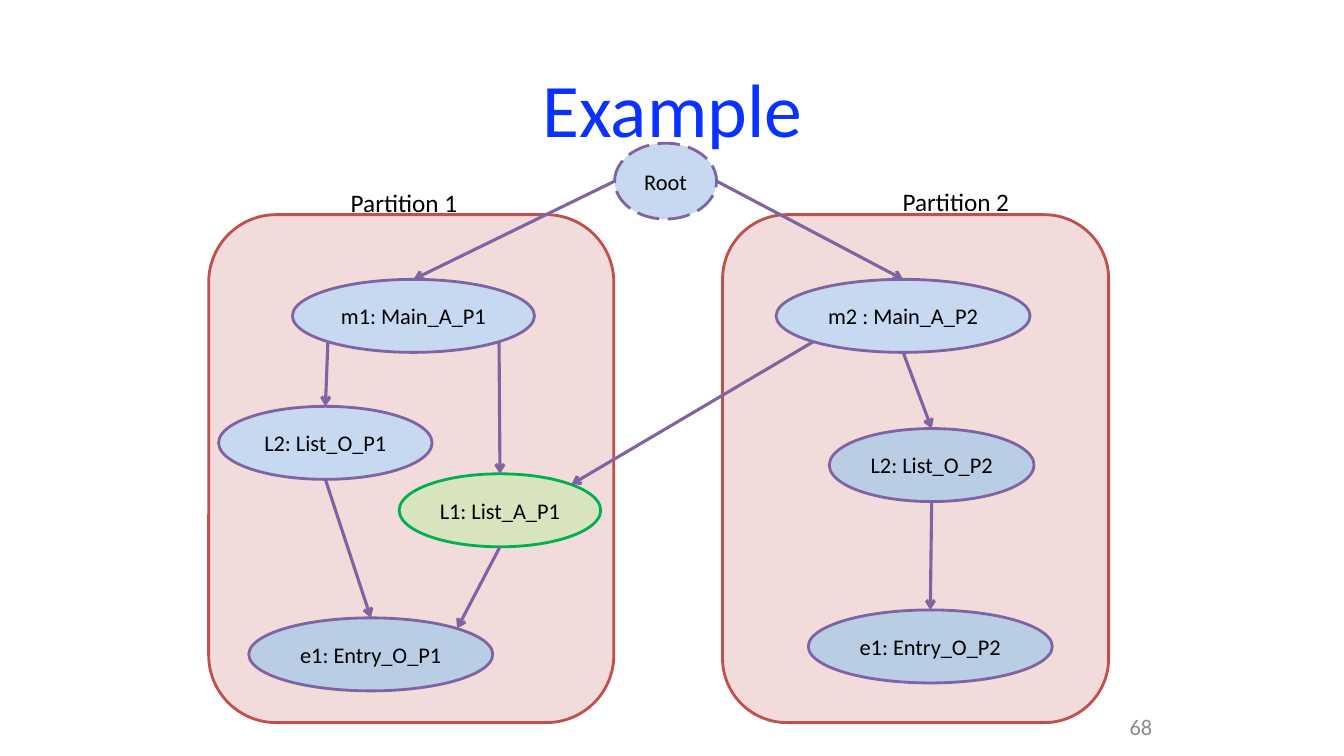
from dataclasses import dataclass
from math import sqrt

from lxml import etree
from pptx import Presentation
from pptx.dml.color import RGBColor
from pptx.enum.dml import MSO_LINE
from pptx.enum.shapes import MSO_CONNECTOR, MSO_SHAPE
from pptx.enum.text import MSO_ANCHOR, PP_ALIGN
from pptx.oxml.ns import qn
from pptx.util import Cm, Pt

OVAL, ROUND = MSO_SHAPE.OVAL, MSO_SHAPE.ROUNDED_RECTANGLE
STRAIGHT, DASH = MSO_CONNECTOR.STRAIGHT, MSO_LINE.LONG_DASH
LEFT, CENTER, RIGHT = PP_ALIGN.LEFT, PP_ALIGN.CENTER, PP_ALIGN.RIGHT
TOP, MIDDLE = MSO_ANCHOR.TOP, MSO_ANCHOR.MIDDLE

# Points on an oval, as shares of its half width and half height
DIAG = 1 / sqrt(2)
SITES = {
    "top": (0, -1), "bottom": (0, 1), "left": (-1, 0), "right": (1, 0),
    "low left": (-DIAG, DIAG), "low right": (DIAG, DIAG), "top right": (DIAG, -DIAG),
}


@dataclass(frozen=True)
class Theme:
    font: str = "Calibri"
    ink: str = "000000"
    title: str = "0A32FF"
    gray: str = "8C8C8C"
    rose: str = "F2DCDB"
    red: str = "C0504D"
    pale: str = "C6D9F1"
    blue: str = "B9CDE5"
    lime: str = "D7E4BD"
    green: str = "00B050"
    violet: str = "8064A2"
    head_size: int = 54
    label_size: int = 18
    node_size: int = 16
    edge: float = 2
    arrow: float = 2.25


class Board:
    def __init__(self, slide, theme):
        self.shapes = slide.shapes
        self.theme = theme

    def label(self, frame, text, size, color, align, anchor):
        frame.text = text
        frame.vertical_anchor = anchor
        para = frame.paragraphs[0]
        para.alignment = align
        font = para.runs[0].font
        font.name, font.size = self.theme.font, Pt(size)
        font.color.rgb = RGBColor.from_string(color)
        return para

    def text(self, box, text, size, color, align=LEFT, anchor=TOP, wrap=True):
        frame = self.shapes.add_textbox(*map(Cm, box)).text_frame
        frame.word_wrap = wrap
        return self.label(frame, text, size, color, align, anchor)

    def shape(self, kind, box, fill, edge):
        shape = self.shapes.add_shape(kind, *map(Cm, box))
        shape.shadow.inherit = False
        shape.fill.solid()
        shape.fill.fore_color.rgb = RGBColor.from_string(fill)
        shape.line.color.rgb = RGBColor.from_string(edge)
        shape.line.width = Pt(self.theme.edge)
        return shape

    def node(self, text, box, fill, edge):
        oval = self.shape(OVAL, box, fill, edge)
        self.label(oval.text_frame, text, self.theme.node_size,
                   self.theme.ink, CENTER, MIDDLE)
        return oval

    def point(self, oval, site):
        across, down = SITES[site]
        return (int(oval.left + oval.width * (1 + across) / 2),
                int(oval.top + oval.height * (1 + down) / 2))

    def arrow(self, start, leave, end, entry):
        link = self.shapes.add_connector(
            STRAIGHT, *self.point(start, leave), *self.point(end, entry))
        if entry == "top":
            link.end_connect(end, 0)
        link.line.color.rgb = RGBColor.from_string(self.theme.violet)
        link.line.width = Pt(self.theme.arrow)
        props = link._element.spPr
        etree.SubElement(props.find(qn("a:ln")), qn("a:tailEnd"), type="arrow")
        etree.SubElement(props, qn("a:effectLst"))


def main():
    deck = Presentation()
    deck.slide_width, deck.slide_height = Cm(33.87), Cm(19.05)
    theme = Theme()
    board = Board(deck.slides.add_slide(deck.slide_layouts[6]), theme)

    # Title and page number
    title = board.text((2.34, 1.02, 29.21, 3.68), "Example", theme.head_size,
                       theme.title, CENTER, MIDDLE)
    title.line_spacing = 0.9
    board.text((27.74, 17.81, 1.55, 1.02), "68", theme.node_size,
               theme.gray, RIGHT, MIDDLE)

    # Partitions and their labels
    for left, width, name, label_left, label_top in (
        (5.26, 10.21, "Partition 1", 8.59, 4.6),
        (18.21, 9.73, "Partition 2", 22.5, 4.57),
    ):
        board.shape(ROUND, (left, 5.41, width, 12.8), theme.rose, theme.red)
        board.text((label_left, label_top, 3.4, 1.02), name, theme.label_size,
                   theme.ink, wrap=False)

    # Nodes
    high = 1.84
    nodes = {
        key: board.node(text, (left, top, width, tall), fill, edge)
        for key, text, left, top, width, tall, fill, edge in (
            ("root", "Root", 15.49, 3.61, 2.57, 1.91, theme.pale, theme.violet),
            ("m1", "m1: Main_A_P1", 7.37, 7.04, 6.1, high, theme.pale, theme.violet),
            ("m2", "m2 : Main_A_P2", 19.56, 7.04, 6.4, high, theme.pale, theme.violet),
            ("list1", "L2: List_O_P1", 5.51, 10.24, 5.38, high, theme.pale, theme.violet),
            ("list2", "L2: List_O_P2", 20.9, 10.8, 5.16, high, theme.blue, theme.violet),
            ("shared", "L1: List_A_P1", 10.06, 11.94, 5.08, high, theme.lime, theme.green),
            ("entry1", "e1: Entry_O_P1", 6.27, 15.57, 6.15, high, theme.blue, theme.violet),
            ("entry2", "e1: Entry_O_P2", 20.37, 15.37, 6.15, high, theme.blue, theme.violet),
        )
    }
    nodes["root"].line.dash_style = DASH

    # Arrows
    for start, leave, end, entry in (
        ("root", "left", "m1", "top"),
        ("root", "right", "m2", "top"),
        ("m1", "low left", "list1", "top"),
        ("m1", "low right", "shared", "top"),
        ("m2", "low left", "shared", "top right"),
        ("m2", "bottom", "list2", "top"),
        ("list1", "bottom", "entry1", "top"),
        ("list2", "bottom", "entry2", "top"),
        ("shared", "bottom", "entry1", "top right"),
    ):
        board.arrow(nodes[start], leave, nodes[end], entry)

    deck.save("out.pptx")


if __name__ == "__main__":
    main()
